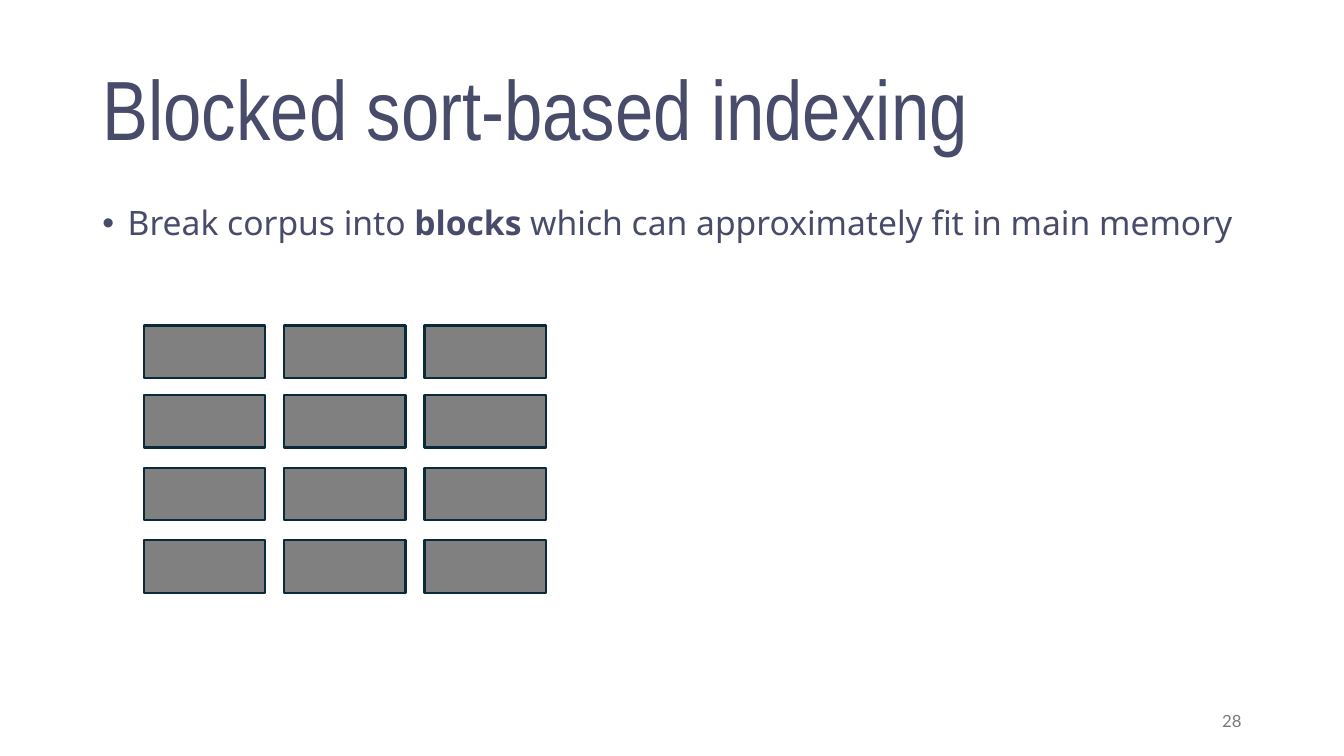
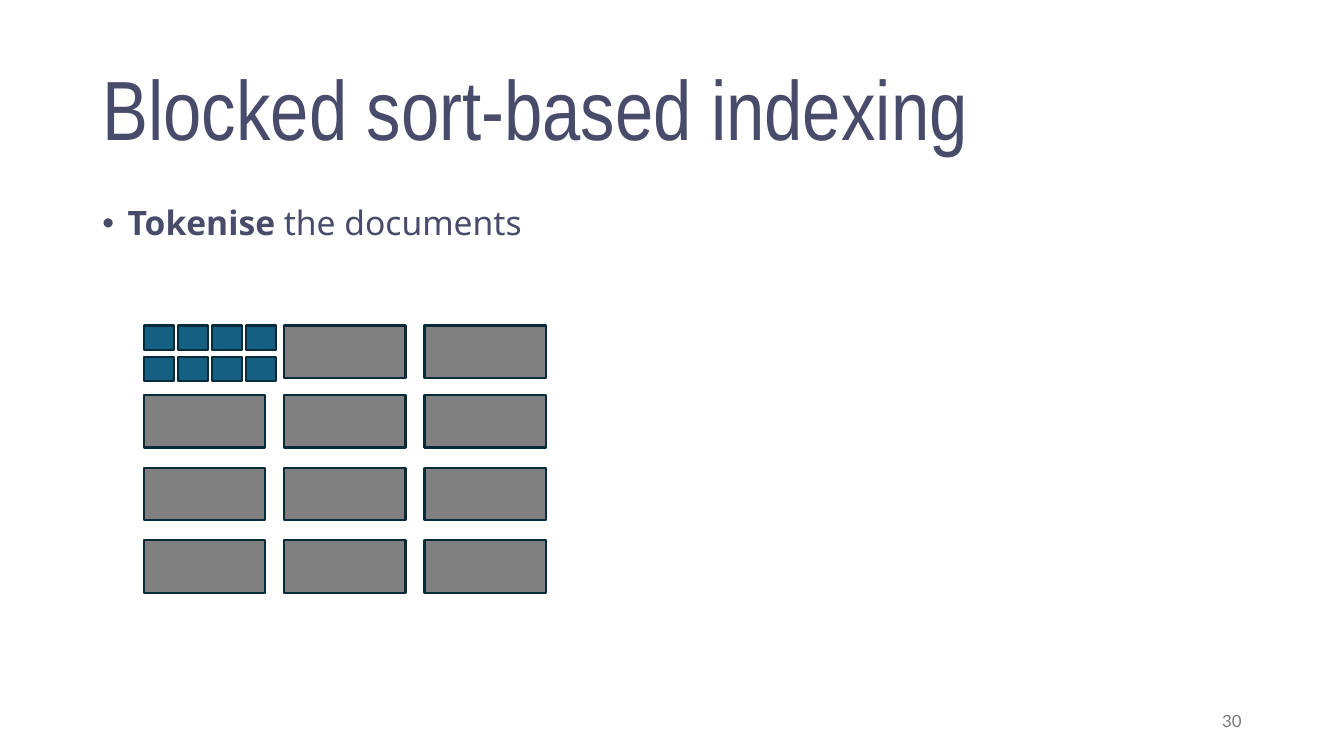
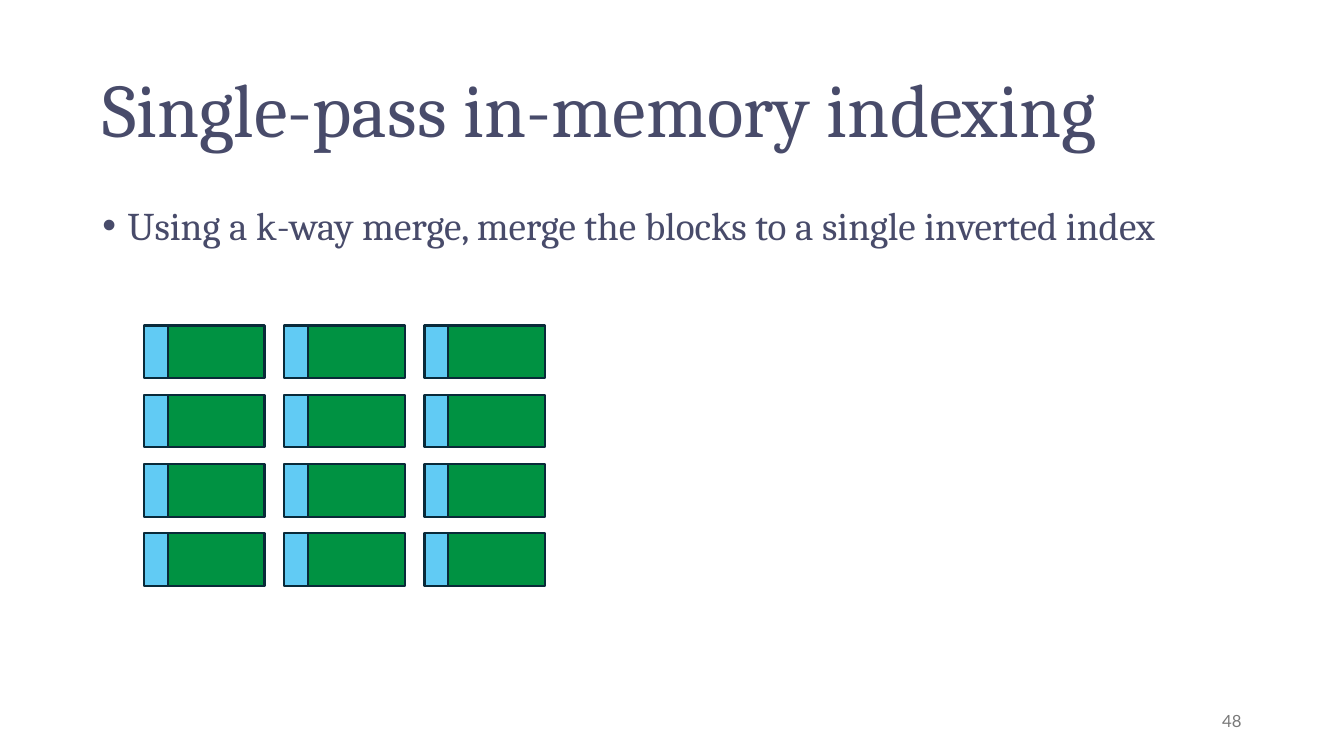
from itertools import product

from pptx import Presentation
from pptx.dml.color import RGBColor
from pptx.enum.shapes import MSO_SHAPE
from pptx.enum.text import MSO_ANCHOR, MSO_AUTO_SIZE, PP_ALIGN
from pptx.oxml import parse_xml
from pptx.oxml.ns import nsdecls
from pptx.util import Pt

INK, PAGE_GREY, OUTLINE = "484B6A", "797979", "092A39"
BLOCK_GREY, TOKEN_BLUE, TERM_BLUE, POSTING_GREEN = "808080", "156082", "61CBF4", "009242"

TITLE_BOX = (66, 28.8, 828, 104.4)
BODY_BOX = (66, 144, 828, 381.6)
PAGE_BOX = (678, 500.5, 216, 28.75)
GRID_LEFT, GRID_TOP, COLUMN_PITCH = 103, 232.5, 100.1
BLOCK_W, BLOCK_H = 86.6, 37.5
UNEVEN_ROWS = (0, 49.7, 101.5, 153.4)
EVEN_ROWS = tuple(row * 49.5 for row in range(4))


def rgb(color):
    """Turn a hex string into a colour."""
    return RGBColor.from_string(color)


def place(sp, box):
    """Move a shape to a box given in points."""
    sp.left, sp.top, sp.width, sp.height = (Pt(v) for v in box)


def style(p, font, size, color, align=PP_ALIGN.LEFT):
    """Format a paragraph and all its runs."""
    p.alignment = align
    for r in p.runs:
        r.font.name, r.font.size = font, Pt(size)
        r.font.color.rgb = rgb(color)


def add_title(s, text, font, size):
    """Fill the title placeholder."""
    sp = s.shapes.title
    place(sp, TITLE_BOX)
    tf = sp.text_frame
    tf.text = text
    tf.auto_size = MSO_AUTO_SIZE.NONE
    tf.vertical_anchor = MSO_ANCHOR.MIDDLE
    p = tf.paragraphs[0]
    p.line_spacing = 0.9
    style(p, font, size, INK)


def add_bullet(s, parts, font, size):
    """Fill the body placeholder with one bullet of (text, bold) parts."""
    sp = s.placeholders[1]
    place(sp, BODY_BOX)
    tf = sp.text_frame
    tf.auto_size = MSO_AUTO_SIZE.NONE
    p = tf.paragraphs[0]
    pPr = p._p.get_or_add_pPr()
    pPr.set("marL", str(Pt(18)))
    pPr.set("indent", str(Pt(-18)))
    pPr.append(parse_xml(f'<a:buFont {nsdecls("a")} typeface="Arial"/>'))
    pPr.append(parse_xml(f'<a:buChar {nsdecls("a")} char="•"/>'))
    p.line_spacing, p.space_before = 0.9, Pt(0)
    for text, bold in parts:
        r = p.add_run()
        r.text, r.font.bold = text, bold
    style(p, font, size, INK)


def add_page_number(s, number):
    """Write the page number at the bottom right."""
    tf = s.shapes.add_textbox(*(Pt(v) for v in PAGE_BOX)).text_frame
    tf.word_wrap = True
    tf.vertical_anchor = MSO_ANCHOR.MIDDLE
    tf.text = str(number)
    style(tf.paragraphs[0], "Lato", 12, PAGE_GREY, PP_ALIGN.RIGHT)


def add_rect(s, box, fill):
    """Draw an outlined rectangle."""
    sp = s.shapes.add_shape(MSO_SHAPE.RECTANGLE, *(Pt(v) for v in box))
    sp.shadow.inherit = False
    sp.fill.solid()
    sp.fill.fore_color.rgb = rgb(fill)
    sp.line.color.rgb = rgb(OUTLINE)
    sp.line.width = Pt(1.5)


def draw_document_block(s, x, y):
    """Draw a plain block of documents."""
    add_rect(s, (x, y, BLOCK_W, BLOCK_H), BLOCK_GREY)


def draw_token_block(s, x, y):
    """Draw a block split into four by two tokens."""
    for column, row in product(range(4), range(2)):
        add_rect(s, (x + column * 24.3, y + row * 22.2, 21, 17.5), TOKEN_BLUE)


def draw_index_block(s, x, y):
    """Draw an inverted index block of terms and postings."""
    term_w = 16.8
    add_rect(s, (x, y, term_w, BLOCK_H), TERM_BLUE)
    add_rect(s, (x + term_w, y, BLOCK_W - term_w - 0.6, BLOCK_H), POSTING_GREEN)


def draw_grid(s, rows, draw_block, draw_first=None):
    """Draw three columns of blocks, the first one optionally different."""
    for column, row in product(range(3), rows):
        is_first = column == 0 and row == 0
        draw = draw_first if is_first and draw_first else draw_block
        draw(s, GRID_LEFT + column * COLUMN_PITCH, GRID_TOP + row)


def add_slide(prs, title, title_font, bullet, bullet_font, number):
    """Add a slide with its title, bullet and page number."""
    s = prs.slides.add_slide(prs.slide_layouts[1])
    add_title(s, title, *title_font)
    add_bullet(s, bullet, *bullet_font)
    add_page_number(s, number)
    return s


def main():
    """Build and save the presentation."""
    prs = Presentation()
    prs.slide_width, prs.slide_height = Pt(960), Pt(540)

    blocked = "Blocked sort-based indexing"
    narrow, sans = ("Arial Narrow", 60), ("Noto Sans", 24)
    bullet = [("Break corpus into ", False), ("blocks ", True),
              ("which can approximately fit in main memory", False)]
    s = add_slide(prs, blocked, narrow, bullet, sans, 28)
    draw_grid(s, UNEVEN_ROWS, draw_document_block)

    bullet = [("Tokenise ", True), ("the documents", False)]
    s = add_slide(prs, blocked, narrow, bullet, sans, 30)
    draw_grid(s, UNEVEN_ROWS, draw_document_block, draw_token_block)

    bullet = [("Using a k-way merge, merge the blocks to a single inverted index", False)]
    s = add_slide(prs, "Single-pass in-memory indexing", ("Cambria", 54),
                  bullet, ("Cambria", 28), 48)
    draw_grid(s, EVEN_ROWS, draw_index_block)

    prs.save("out.pptx")


if __name__ == "__main__":
    main()
